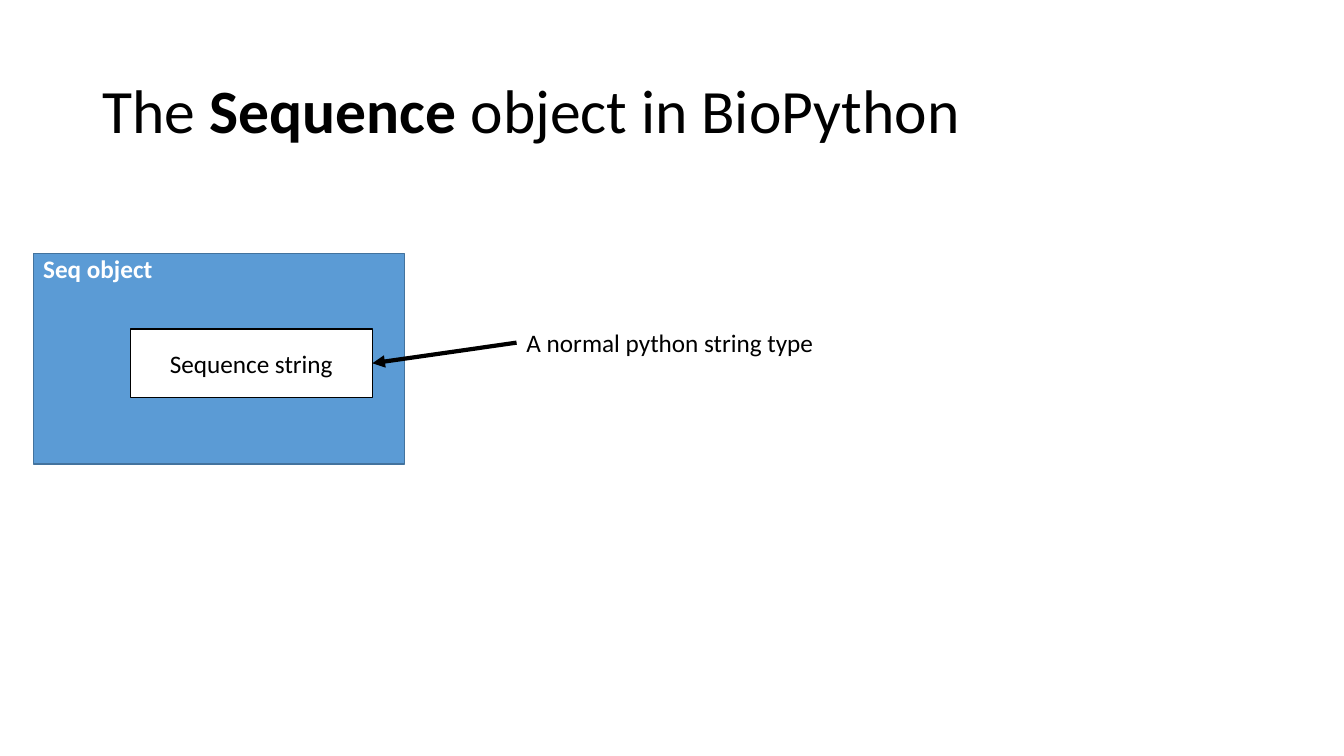
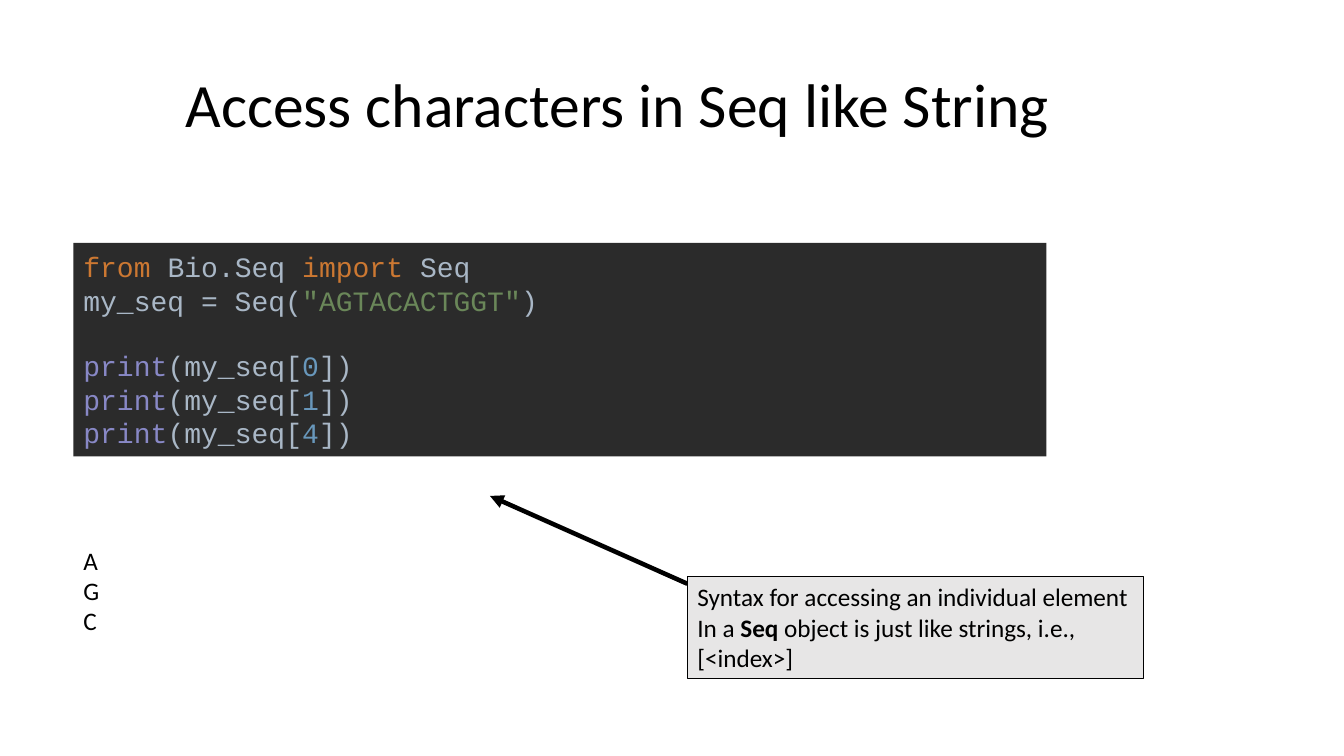
from lxml import etree
from pptx import Presentation
from pptx.dml.color import RGBColor
from pptx.enum.shapes import MSO_CONNECTOR, MSO_SHAPE
from pptx.enum.text import MSO_ANCHOR, PP_ALIGN
from pptx.oxml.ns import qn
from pptx.util import Pt

RECTANGLE = MSO_SHAPE.RECTANGLE
STRAIGHT = MSO_CONNECTOR.STRAIGHT
TOP, MIDDLE = MSO_ANCHOR.TOP, MSO_ANCHOR.MIDDLE
LEFT, CENTER = PP_ALIGN.LEFT, PP_ALIGN.CENTER
LEFT_SIDE, RIGHT_SIDE = 1, 3

COLORS = {
    "black": "000000",
    "white": "FFFFFF",
    "blue": "5B9BD5",
    "blue_edge": "43739E",
    "gray": "E7E6E6",
    "code_back": "2B2B2B",
    "plain": "A9B7C6",
    "keyword": "CC7832",
    "string": "6A8759",
    "builtin": "8888C6",
    "number": "6897BB",
}
BODY_FONT, CODE_FONT = "Calibri", "Courier New"
CODE_LINE_HEIGHT = 22.66


def color(name):
    return RGBColor.from_string(COLORS[name])


def styled(text, tone="black", size=18, font=BODY_FONT, bold=False):
    """Describe one run of text."""
    return text, tone, size, font, bold


def code(text, tone="plain"):
    return styled(text, tone=tone, size=20, font=CODE_FONT)


class Deck:
    """Holds the presentation, its style and the current slide."""

    def __init__(self):
        self.presentation = Presentation()
        self.presentation.slide_width = Pt(960)
        self.presentation.slide_height = Pt(540)
        self.slide = None

    def add_slide(self):
        blank = self.presentation.slide_layouts[6]
        self.slide = self.presentation.slides.add_slide(blank)

    def fill_text(self, shape, lines, align=LEFT, anchor=TOP, wrap=True):
        """Fill a shape with lines, each one a list of styled runs."""
        frame = shape.text_frame
        frame.word_wrap = wrap
        frame.vertical_anchor = anchor
        for index, runs in enumerate(lines):
            paragraph = frame.add_paragraph() if index else frame.paragraphs[0]
            paragraph.alignment = align
            for text, tone, size, font, bold in runs:
                run = paragraph.add_run()
                run.text = text
                run.font.name = font
                run.font.size = Pt(size)
                run.font.bold = bold
                run.font.color.rgb = color(tone)
        return shape

    def text(self, bounds, lines, **layout):
        box = self.slide.shapes.add_textbox(*map(Pt, bounds))
        return self.fill_text(box, lines, **layout)

    def title(self, bounds, runs):
        box = self.text(bounds, [runs], anchor=MIDDLE)
        box.text_frame.paragraphs[0].line_spacing = 0.9

    def box(self, bounds, lines, fill, edge=None, edge_width=1, **layout):
        shape = self.slide.shapes.add_shape(RECTANGLE, *map(Pt, bounds))
        shape.shadow.inherit = False
        shape.fill.solid()
        shape.fill.fore_color.rgb = color(fill)
        if edge:
            shape.line.color.rgb = color(edge)
            shape.line.width = Pt(edge_width)
        else:
            shape.line.fill.background()
        return self.fill_text(shape, lines, **layout)

    def arrow(self, start, end, width):
        connector = self.slide.shapes.add_connector(
            STRAIGHT, *map(Pt, (*start, *end)))
        connector.line.color.rgb = color("black")
        connector.line.width = Pt(width)
        properties = connector._element.spPr
        etree.SubElement(properties.find(qn("a:ln")), qn("a:tailEnd"),
                         type="triangle")
        etree.SubElement(properties, qn("a:effectLst"))
        return connector


def title_run(text, bold=False):
    return styled(text, size=44, bold=bold)


def sequence_slide(deck):
    deck.add_slide()
    deck.title((66, 29, 828, 104), [
        title_run("The "), title_run("Sequence", bold=True),
        title_run(" object in BioPython")])

    # Object with its inner string
    outer = deck.box((23.75, 181, 265, 150.5),
                     [[styled("Seq object", tone="white", bold=True)]],
                     "blue", edge="blue_edge")
    outer.text_frame.margin_top = 0
    inner = deck.box((93, 235, 173, 49), [[styled("Sequence string")]],
                     "white", edge="black", align=CENTER, anchor=MIDDLE)

    # Explanation
    label = deck.text((369, 230.25, 222, 29),
                      [[styled("A normal python string type")]], wrap=False)
    pointer = deck.arrow((369, 244.75), (266, 259.5), 3)
    pointer.begin_connect(label, LEFT_SIDE)
    pointer.end_connect(inner, RIGHT_SIDE)


def access_slide(deck):
    deck.add_slide()
    deck.title((125.5, 31.5, 709, 90),
               [title_run("Access characters in Seq like String")])

    # Syntax note with its pointer
    deck.arrow((491, 417), (350, 354.25), 3.25)
    deck.box((491, 412, 325.5, 72.75), [
        [styled("Syntax for accessing an individual element")],
        [styled("In a "), styled("Seq ", bold=True),
         styled("object is just like strings, i.e.,")],
        [styled("[<index>]")],
    ], "gray", edge="black", edge_width=0.75, wrap=False)

    # Code
    prints = [[code("print", "builtin"), code("(my_seq["),
               code(index, "number"), code("])")] for index in "014"]
    listing = deck.box((52.5, 173.5, 695, 152.5), [
        [code("from ", "keyword"), code("Bio.Seq "),
         code("import ", "keyword"), code("Seq")],
        [code("my_seq = Seq("), code('"AGTACACTGGT"', "string"), code(")")],
        *prints,
    ], "code_back", anchor=MIDDLE)
    listing.text_frame.paragraphs[2].space_before = Pt(CODE_LINE_HEIGHT)

    # Output
    deck.text((52.5, 386, 480, 72.75), [[styled(base)] for base in "AGC"])


def main():
    deck = Deck()
    sequence_slide(deck)
    access_slide(deck)
    deck.presentation.save("out.pptx")


if __name__ == "__main__":
    main()
